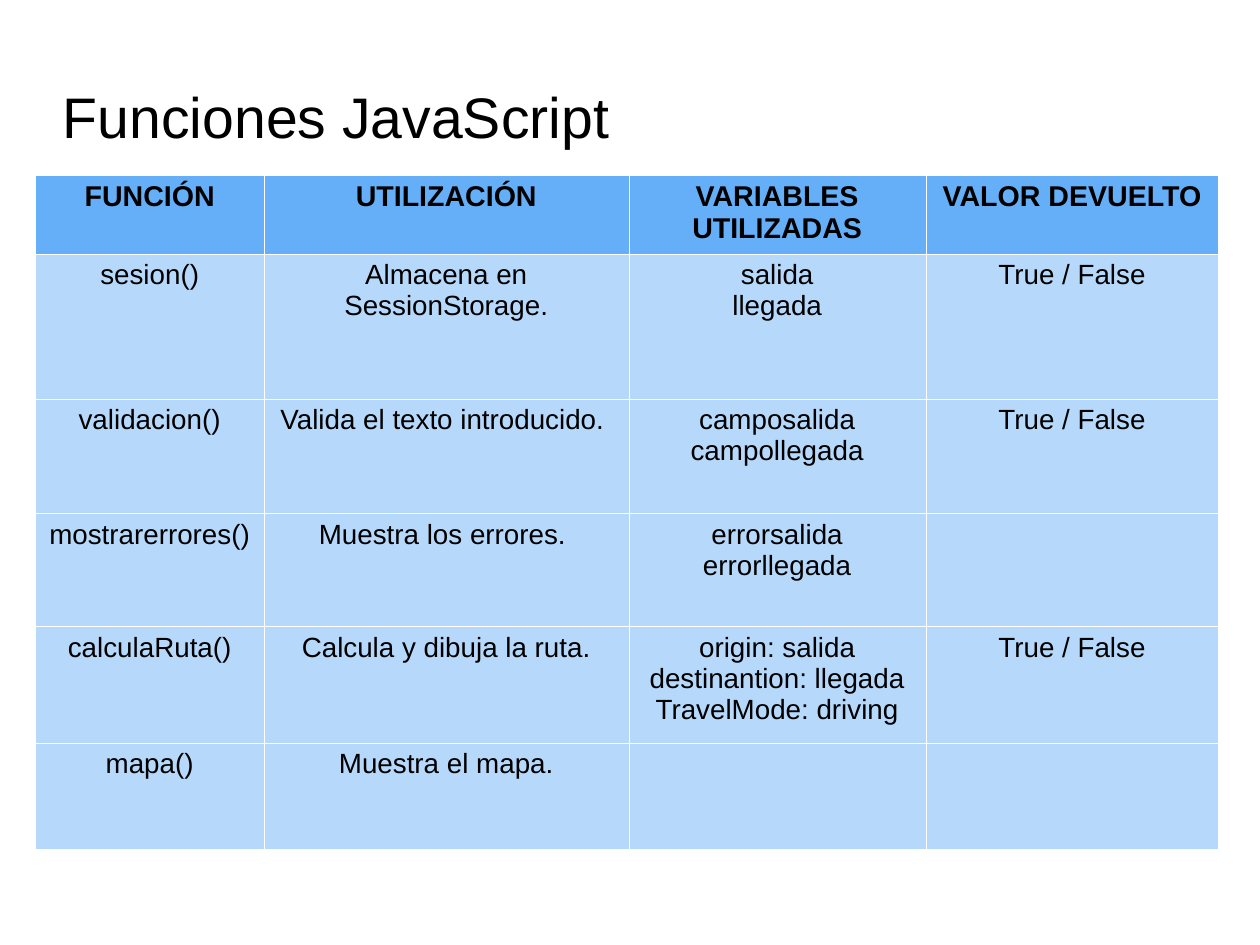
from lxml import etree
from pptx import Presentation
from pptx.dml.color import RGBColor
from pptx.enum.text import MSO_ANCHOR, PP_ALIGN
from pptx.oxml.ns import qn
from pptx.util import Inches, Pt

LEFT, CENTER = PP_ALIGN.LEFT, PP_ALIGN.CENTER
MIDDLE = MSO_ANCHOR.MIDDLE
BLACK = RGBColor(0x00, 0x00, 0x00)
WHITE = RGBColor(0xFF, 0xFF, 0xFF)
BLUE = RGBColor(0x65, 0xAF, 0xF9)
PALE = RGBColor(0xB6, 0xD9, 0xFB)
WIDTHS = [2, 3.19, 2.6, 2.56]
HEIGHTS = [0.69, 1.27, 1, 0.99, 1.02, 0.93]
ROWS = [
    ["FUNCIÓN", "UTILIZACIÓN", "VARIABLES UTILIZADAS", "VALOR DEVUELTO"],
    ["sesion()", "Almacena en SessionStorage.", "salida\nllegada", "True / False"],
    ["validacion()", "Valida el texto introducido. ",
     "camposalida\ncampollegada", "True / False"],
    ["mostrarerrores()", "Muestra los errores. ", "errorsalida\nerrorllegada", ""],
    ["calculaRuta()", "Calcula y dibuja la ruta.",
     "origin: salida\ndestinantion: llegada\nTravelMode: driving", "True / False"],
    ["mapa()", "Muestra el mapa.", "", ""],
]


class Deck:
    """Holds the text style and the current slide."""

    def __init__(self, show, font):
        """Add a title-only slide to the show."""
        self.font = font
        self.slide = show.slides.add_slide(show.slide_layouts[5])

    def style(self, frame, size, align, bold=False):
        """Format all the text of a frame."""
        for para in frame.paragraphs:
            para.alignment = align
            for run in para.runs:
                run.font.name = self.font
                run.font.size = Pt(size)
                run.font.bold = bold
                run.font.color.rgb = BLACK

    def title(self, text, left, top, width, height):
        """Place and fill the title."""
        shape = self.slide.shapes.title
        shape.left, shape.top = Inches(left), Inches(top)
        shape.width, shape.height = Inches(width), Inches(height)
        frame = shape.text_frame
        frame.margin_left = frame.margin_right = 0
        frame.margin_top = frame.margin_bottom = 0
        frame.vertical_anchor = MIDDLE
        frame.word_wrap = True
        frame.text = text
        self.style(frame, 36, LEFT)

    def border(self, cell):
        """Draw thin white lines around a cell."""
        props = cell._tc.get_or_add_tcPr()
        for side in ("a:lnL", "a:lnR", "a:lnT", "a:lnB"):
            line = etree.SubElement(props, qn(side), w=str(Pt(0.06)))
            fill = etree.SubElement(line, qn("a:solidFill"))
            etree.SubElement(fill, qn("a:srgbClr"), val=str(WHITE))

    def table(self, rows, left, top, widths, heights):
        """Add a table whose first row is the header."""
        grid = self.slide.shapes.add_table(
            len(rows), len(widths), Inches(left), Inches(top),
            Inches(sum(widths)), Inches(sum(heights))).table
        for col, width in zip(grid.columns, widths):
            col.width = Inches(width)
        for num, (row, height) in enumerate(zip(grid.rows, heights)):
            row.height = Inches(height)
            head = num == 0
            for cell, text in zip(row.cells, rows[num]):
                self.border(cell)
                cell.fill.solid()
                cell.fill.fore_color.rgb = BLUE if head else PALE
                cell.text_frame.text = text
                self.style(cell.text_frame, 18 if head else 17.5, CENTER, head)


def main():
    """Build and save the slide."""
    show = Presentation()
    show.slide_width, show.slide_height = Inches(28 / 2.54), Inches(21 / 2.54)
    deck = Deck(show, "Arial")
    deck.title("Funciones JavaScript", 0.55, 0.62, 7.87, 0.79)
    deck.table(ROWS, 0.31, 1.53, WIDTHS, HEIGHTS)
    show.save("out.pptx")


if __name__ == "__main__":
    main()
